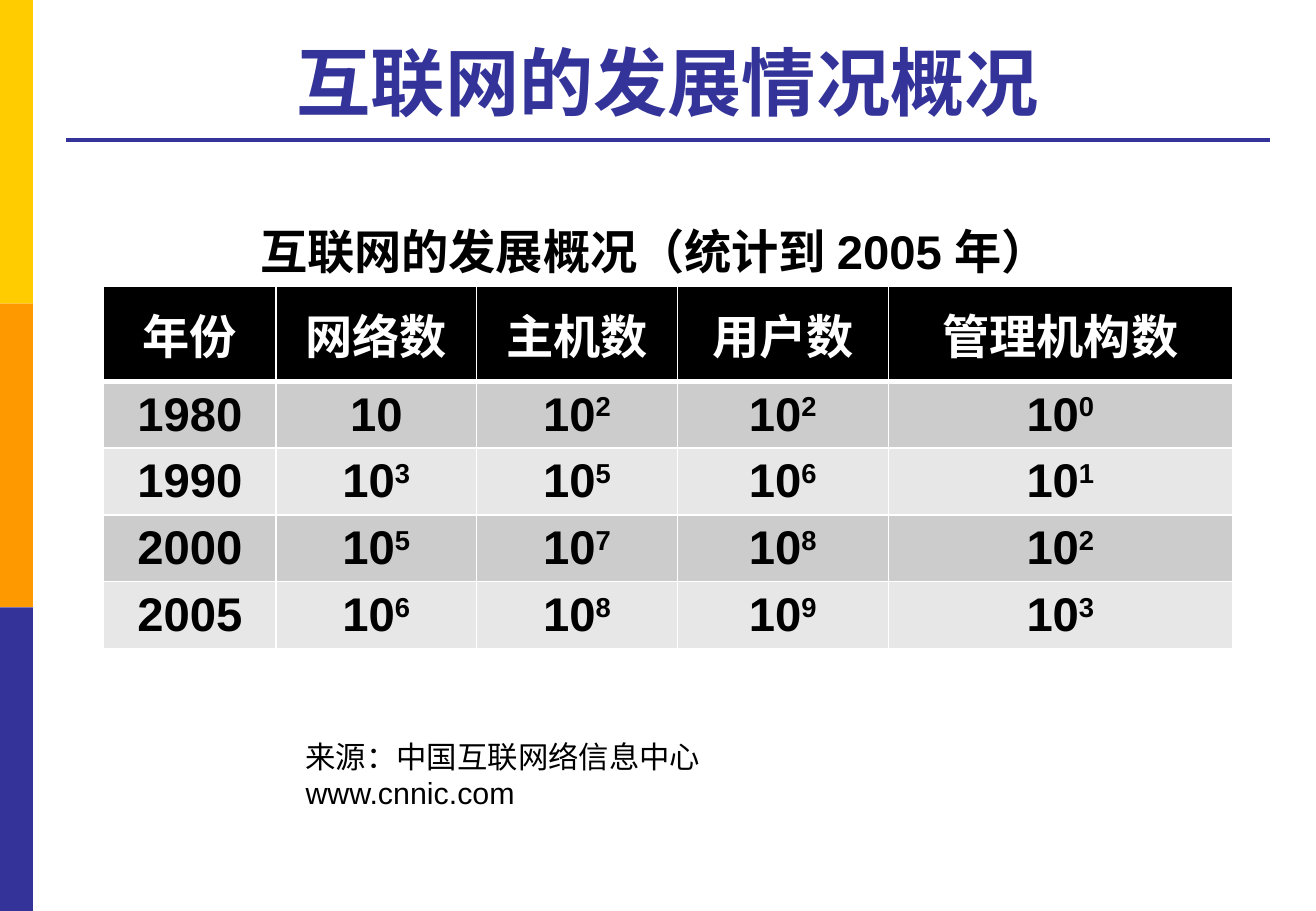
from lxml import etree
from pptx import Presentation
from pptx.dml.color import RGBColor
from pptx.enum.shapes import MSO_CONNECTOR, MSO_SHAPE
from pptx.enum.text import MSO_ANCHOR, PP_ALIGN
from pptx.oxml.ns import qn
from pptx.util import Pt

LEFT, CENTER = PP_ALIGN.LEFT, PP_ALIGN.CENTER
TOP, MIDDLE, BOTTOM = MSO_ANCHOR.TOP, MSO_ANCHOR.MIDDLE, MSO_ANCHOR.BOTTOM
RECT, STRAIGHT = MSO_SHAPE.RECTANGLE, MSO_CONNECTOR.STRAIGHT

# Content
TITLE = "互联网的发展情况概况"
CAPTION = "互联网的发展概况（统计到 2005 年）"
SOURCE = "来源：中国互联网络信息中心\vwww.cnnic.com"
HEADER = ["年份", "网络数", "主机数", "用户数", "管理机构数"]
# Year, then powers of ten for each column
GROWTH = [
    ("1980", 1, 2, 2, 0),
    ("1990", 3, 5, 6, 1),
    ("2000", 5, 7, 8, 2),
    ("2005", 6, 8, 9, 3),
]

THEME = {
    "font": "Arial",
    "navy": "333399", "white": "FFFFFF", "black": "000000",
    "stripes": ["FFCC00", "FF9900", "333399"],
    "bands": ["CCCCCC", "E7E7E7"],
    "title": 44, "table": 28, "source": 18,
}

# Layout in points
W, H = 780, 540
STRIPE_W = 19.5
RULE = (39, 714, 82.8)
TABLE_AT = (61.5, 169.5)
COL_W = [102, 119, 119, 125, 204]
ROW_H = [56.5] + [38.4] * len(GROWTH)
CELL_PAD = 3


def rgb(value):
    return RGBColor.from_string(value)


def add_run(p, text, size, color, bold):
    r = p.add_run()
    r.text = text
    formats = {"name": THEME["font"], "size": Pt(size), "bold": bold}
    for name, value in formats.items():
        setattr(r.font, name, value)
    r.font.color.rgb = rgb(color)
    return r


def add_text(s, box, text, size, color, bold, align, anchor):
    tf = s.shapes.add_textbox(*map(Pt, box)).text_frame
    tf.word_wrap = True
    tf.vertical_anchor = anchor
    p = tf.paragraphs[0]
    p.alignment = align
    for i, line in enumerate(text.split("\v")):
        if i:
            p.add_line_break()
        add_run(p, line, size, color, bold)


def set_borders(cell, widths):
    tc_pr = cell._tc.get_or_add_tcPr()
    for side, width in zip("LRTB", widths):
        ln = etree.SubElement(tc_pr, qn(f"a:ln{side}"), w=str(Pt(width)))
        fill = etree.SubElement(ln, qn("a:solidFill"))
        etree.SubElement(fill, qn("a:srgbClr"), val=THEME["white"])


def fill_cell(cell, base, power, color, fill, borders):
    set_borders(cell, borders)
    cell.fill.solid()
    cell.fill.fore_color.rgb = rgb(fill)
    cell.vertical_anchor = MIDDLE
    cell.margin_top = cell.margin_bottom = Pt(CELL_PAD)
    p = cell.text_frame.paragraphs[0]
    p.alignment = CENTER
    add_run(p, base, THEME["table"], color, True)
    if power:
        r = add_run(p, power, THEME["table"], color, True)
        r.font._element.set("baseline", "30000")


def add_growth_table(s):
    rows = [[(name, "") for name in HEADER]]
    for year, *powers in GROWTH:
        rows.append([(year, "")] + [("10", "" if n == 1 and i == 0 else str(n))
                                    for i, n in enumerate(powers)])
    size = (sum(COL_W), sum(ROW_H))
    table = s.shapes.add_table(len(rows), len(HEADER),
                               *map(Pt, TABLE_AT + size)).table
    table.horz_banding = False
    for col, width in zip(table.columns, COL_W):
        col.width = Pt(width)
    for i, (row, height) in enumerate(zip(rows, ROW_H)):
        table.rows[i].height = Pt(height)
        color = THEME["black"] if i else THEME["white"]
        fill = THEME["bands"][(i - 1) % 2] if i else THEME["black"]
        borders = (1, 1, 3 if i == 1 else 1, 3 if i == 0 else 1)
        for j, (base, power) in enumerate(row):
            fill_cell(table.cell(i, j), base, power, color, fill, borders)


def main():
    prs = Presentation()
    prs.slide_width, prs.slide_height = Pt(W), Pt(H)
    s = prs.slides.add_slide(prs.slide_layouts[6])

    # Side stripes
    stripe_h = H / len(THEME["stripes"])
    for i, color in enumerate(THEME["stripes"]):
        sp = s.shapes.add_shape(RECT, 0, Pt(i * stripe_h),
                                Pt(STRIPE_W), Pt(stripe_h))
        sp.shadow.inherit = False
        sp.fill.solid()
        sp.fill.fore_color.rgb = rgb(color)
        sp.line.fill.background()

    # Title and rule
    x, width, y = RULE
    line = s.shapes.add_connector(STRAIGHT, Pt(x), Pt(y), Pt(x + width), Pt(y))
    line.line.color.rgb = rgb(THEME["navy"])
    line.line.width = Pt(2.25)
    etree.SubElement(line._element.spPr, qn("a:effectLst"))
    add_text(s, (x, 15, width, 63), TITLE, THEME["title"], THEME["navy"],
             True, CENTER, BOTTOM)

    # Table with caption and source
    add_growth_table(s)
    add_text(s, (125, 128, 526, 41), CAPTION, THEME["table"], THEME["black"],
             True, CENTER, TOP)
    add_text(s, (174, 434, 372, 51), SOURCE, THEME["source"], THEME["black"],
             False, LEFT, TOP)

    prs.save("out.pptx")


if __name__ == "__main__":
    main()
